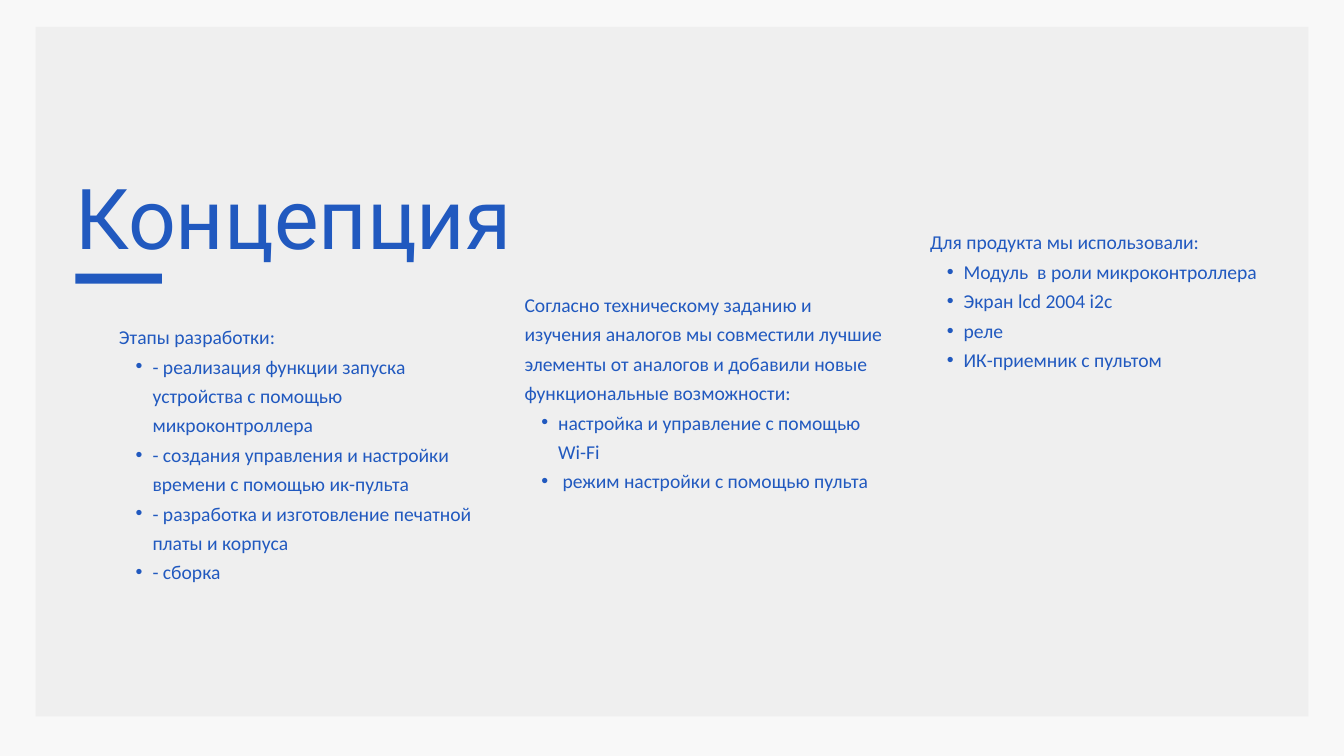
from lxml import etree
from pptx import Presentation
from pptx import util as u
from pptx.dml.color import RGBColor
from pptx.enum import shapes, text
from pptx.oxml.ns import qn

COLORS = {"page": "F8F8F8", "panel": "EFEFEF", "accent": "2159BF"}
COLUMNS, ROWS = 80, 45
FIRST_COLUMN, COLUMN_STEP, COLUMN_WIDTH = 7.08, 24.14, 21.68

SECTIONS = [
    (19, 17.44, "Этапы разработки:", [
        "- реализация функции запуска устройства с помощью микроконтроллера",
        "- создания управления и настройки времени с помощью ик-пульта",
        "- разработка и изготовление печатной платы и корпуса",
        "- сборка",
    ]),
    (17.08, 15.68, "Согласно техническому заданию и изучения аналогов мы совместили "
     "лучшие элементы от аналогов и добавили новые функциональные возможности:", [
        "настройка и управление с помощью Wi-Fi",
        " режим настройки с помощью пульта",
    ]),
    (13.36, 10.44, "Для продукта мы использовали:", [
        "Модуль  в роли микроконтроллера",
        "Экран lcd 2004 i2c",
        "реле",
        "ИК-приемник с пультом",
    ]),
]


def write(para, words, font="Calibri", size=21, leading=31.5, color="accent", bullet=False):
    """Fill a paragraph with formatted text, bulleted on request."""
    para.level = 1 if bullet else 0
    para.alignment = text.PP_ALIGN.LEFT
    para.line_spacing = u.Pt(leading)
    para.space_before = para.space_after = u.Pt(0)
    span = para.add_run()
    span.text = words
    span.font.name, span.font.size, span.font.bold = font, u.Pt(size), False
    span.font.color.rgb = RGBColor.from_string(COLORS[color])
    props = para._p.get_or_add_pPr()
    props.set("marL", str(u.Inches(0.5) if bullet else 0))
    props.set("indent", str(u.Inches(-0.25) if bullet else 0))
    if bullet:
        etree.SubElement(props, qn("a:buFont")).set("typeface", "Arial")
        etree.SubElement(props, qn("a:buChar")).set("char", "•")
    else:
        etree.SubElement(props, qn("a:buNone"))


class SlideBuilder:
    """Holds the style and the current slide, measured on a grid."""

    def __init__(self, deck, layout):
        self.cell_width = deck.slide_width / COLUMNS
        self.cell_height = deck.slide_height / ROWS
        self.page = deck.slides.add_slide(deck.slide_layouts[layout])
        fill = self.page.background.fill
        fill.solid()
        fill.fore_color.rgb = RGBColor.from_string(COLORS["page"])

    def area(self, column, row, columns, rows):
        """Turn grid cells into slide lengths."""
        return (round(column * self.cell_width), round(row * self.cell_height),
                round(columns * self.cell_width), round(rows * self.cell_height))

    def block(self, cells, color):
        """Draw a plain rectangle behind the text."""
        box = self.page.shapes.add_shape(shapes.MSO_SHAPE.RECTANGLE, *self.area(*cells))
        box.fill.solid()
        box.fill.fore_color.rgb = RGBColor.from_string(COLORS[color])
        box.line.fill.background()
        box.shadow.inherit = False
        self.page.shapes._spTree.insert(2, box._element)

    def place(self, box, cells):
        """Move a placeholder and return its bare text frame."""
        box.left, box.top, box.width, box.height = self.area(*cells)
        frame = box.text_frame
        frame.margin_left = frame.margin_top = frame.margin_right = frame.margin_bottom = 0
        frame.vertical_anchor = text.MSO_ANCHOR.TOP
        frame.word_wrap = True
        frame.auto_size = text.MSO_AUTO_SIZE.NONE
        return frame

    def title(self, cells, words):
        """Set the slide title."""
        frame = self.place(self.page.shapes.title, cells)
        write(frame.paragraphs[0], words, font="Roboto", size=90, leading=99)

    def section(self, box, cells, lead, items):
        """Set a lead paragraph with its bulleted list."""
        frame = self.place(box, cells)
        write(frame.paragraphs[0], lead)
        for item in items:
            write(frame.add_paragraph(), item, bullet=True)


def main():
    deck = Presentation()
    deck.slide_width, deck.slide_height = u.Inches(20), u.Inches(11.25)
    slide = SlideBuilder(deck, layout=4)
    slide.block((4.48, 16.28, 5.16, 0.6), "accent")
    slide.block((2.12, 1.6, 75.76, 41.04), "panel")
    slide.title((4.48, 10.36, 64.44, 5.72), "Концепция")
    bodies = [box for box in slide.page.placeholders if box.placeholder_format.idx in range(1, 5)]
    for index, (box, (row, rows, lead, items)) in enumerate(zip(bodies, SECTIONS)):
        column = FIRST_COLUMN + index * COLUMN_STEP
        slide.section(box, (column, row, COLUMN_WIDTH, rows), lead, items)
    for box in list(slide.page.placeholders):
        if not box.text_frame.text:
            box._element.getparent().remove(box._element)
    deck.save("out.pptx")


if __name__ == "__main__":
    main()
